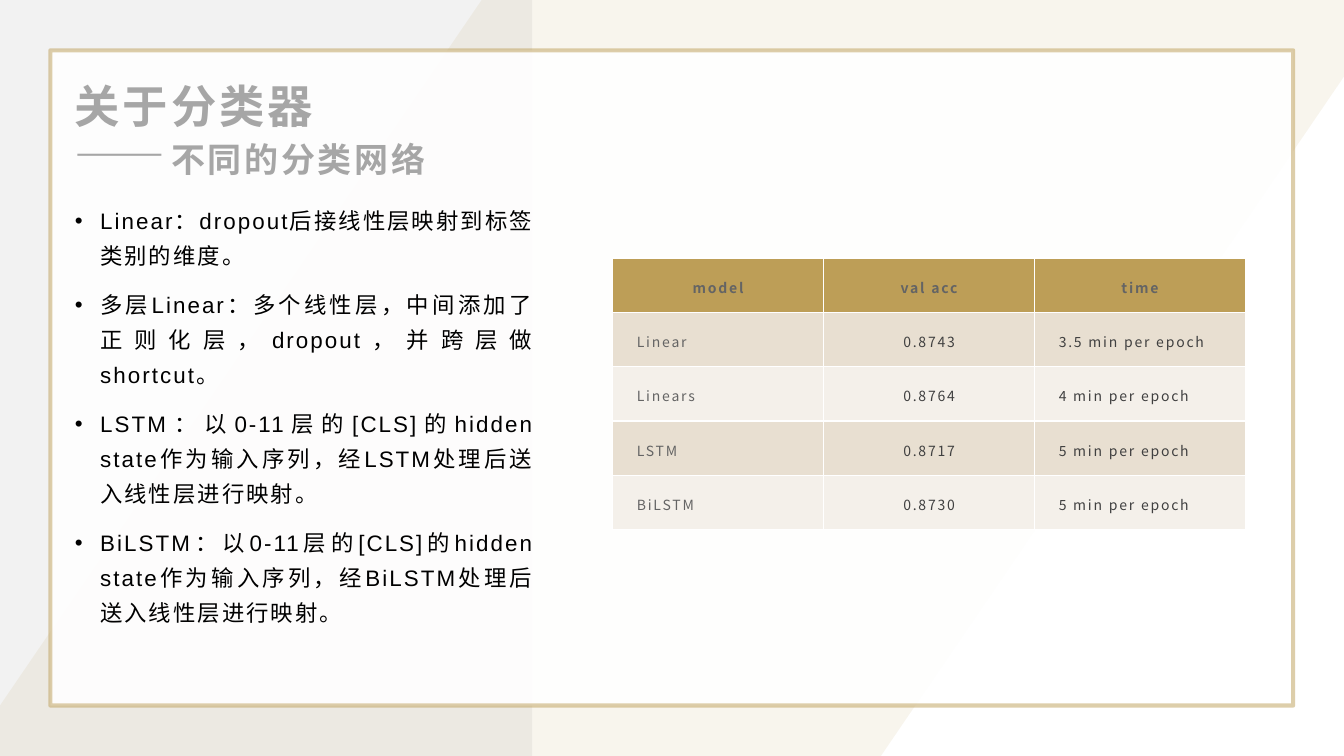
"""Build a slide that compares classifier networks in a list and a table."""
from dataclasses import dataclass
from typing import NamedTuple

from lxml.etree import SubElement
from pptx import Presentation
from pptx.dml.color import RGBColor
from pptx.dml.fill import FillFormat
from pptx.enum.shapes import MSO_SHAPE
from pptx.enum.text import MSO_ANCHOR, MSO_AUTO_SIZE, PP_ALIGN
from pptx.oxml.ns import qn
from pptx.shapes.autoshape import Shape
from pptx.slide import Slide
from pptx.text.text import Font
from pptx.util import Cm, Pt


@dataclass(frozen=True)
class Theme:
    gold: str = "BD9E57"
    panel: str = "F2F2F2"
    paper: str = "FFFFFF"
    heading: str = "A6A6A6"
    body: str = "000000"
    label: str = "646464"
    value: str = "404040"
    bands: tuple[str, str] = ("E8DFD1", "F4F0EA")
    text_font: str = "Arial"
    table_font: str = "Noto Sans CJK SC"
    title_size: float = 32.4
    subtitle_size: float = 24.3
    body_size: float = 16
    table_size: float = 10


class Box(NamedTuple):
    left: float
    top: float
    width: float
    height: float


class Result(NamedTuple):
    model: str
    accuracy: str
    time: str


THEME = Theme()
SLIDE = Box(0, 0, 33.87, 19.05)
SIDE_PANEL = Box(0, 0, 13.41, 19.05)
FRAME = Box(1.27, 1.27, 31.32, 16.51)
TITLE = Box(1.63, 2.13, 11, 2.44)
BODY = Box(1.63, 4.9, 12.09, 11.38)
TABLE = Box(15.44, 6.5, 15.95, 6.02)
DIAGONAL_BAND = [(12.14, 0), (33.87, 0), (33.87, 1.93), (22.2, 19.05), (0, 19.05), (0, 17.78)]

NETWORKS = [
    "Linear：dropout后接线性层映射到标签类别的维度。",
    "多层Linear：多个线性层，中间添加了正则化层，dropout，并跨层做shortcut。",
    "LSTM：以0-11层的[CLS]的hidden state作为输入序列，经LSTM处理后送入线性层进行映射。",
    "BiLSTM：以0-11层的[CLS]的hidden state作为输入序列，经BiLSTM处理后送入线性层进行映射。",
]
HEADER = Result("model", "val acc", "time")
RESULTS = [
    Result("Linear", "0.8743", "3.5 min per epoch"),
    Result("Linears", "0.8764", "4 min per epoch"),
    Result("LSTM", "0.8717", "5 min per epoch"),
    Result("BiLSTM", "0.8730", "5 min per epoch"),
]


def lengths(box: Box) -> list[Cm]:
    """Return the four lengths of a box."""
    return [Cm(length) for length in box]


def paint(fill: FillFormat, color: str, opacity: int = 100) -> None:
    """Fill with one colour at an opacity in percent."""
    fill.solid()
    fill.fore_color.rgb = RGBColor.from_string(color)
    if opacity < 100:
        rgb = fill._xPr.find(f"{qn('a:solidFill')}/{qn('a:srgbClr')}")
        SubElement(rgb, qn("a:alpha"), val=str(opacity * 1000))


def style(font: Font, name: str, size: float, color: str, spacing: float, bold: bool = False) -> None:
    """Set the typeface, size, colour, letter spacing and weight."""
    font.name, font.size, font.bold = name, Pt(size), bold
    font.color.rgb = RGBColor.from_string(color)
    font._rPr.set("spc", str(round(spacing * 100)))


def place(placeholder: Shape, box: Box, anchor: MSO_ANCHOR) -> None:
    """Move a placeholder to a box, in front of the backdrop."""
    placeholder.left, placeholder.top, placeholder.width, placeholder.height = lengths(box)
    frame = placeholder.text_frame
    frame.word_wrap, frame.auto_size, frame.vertical_anchor = True, MSO_AUTO_SIZE.NONE, anchor
    tree = placeholder.element.getparent()
    tree.append(placeholder.element)


def add_backdrop(slide: Slide) -> None:
    """Draw the side panel, the diagonal band and the framed sheet."""
    panel = slide.shapes.add_shape(MSO_SHAPE.RECTANGLE, *lengths(SIDE_PANEL))
    paint(panel.fill, THEME.panel)
    start, *corners = [(Cm(x), Cm(y)) for x, y in DIAGONAL_BAND]
    outline = slide.shapes.build_freeform(*start)
    outline.add_line_segments(corners, close=True)
    band = outline.convert_to_shape()
    paint(band.fill, THEME.gold, 10)
    sheet = slide.shapes.add_shape(MSO_SHAPE.RECTANGLE, *lengths(FRAME))
    paint(sheet.fill, THEME.paper, 90)
    for shape in (panel, band, sheet):
        shape.shadow.inherit = False
        shape.line.fill.background()
    sheet.line.width = Pt(3)
    paint(sheet.line.fill, THEME.gold, 50)


def add_title(slide: Slide) -> None:
    """Write the title and its subtitle."""
    title = slide.shapes.title
    place(title, TITLE, MSO_ANCHOR.MIDDLE)
    heading = title.text_frame.paragraphs[0]
    heading.alignment = PP_ALIGN.LEFT
    heading.line_spacing = 0.9
    style(heading.font, THEME.text_font, THEME.title_size, THEME.heading, 2, True)
    heading.add_run().text = "关于分类器"
    heading.add_line_break()
    heading.add_run().text = "——"
    subtitle = heading.add_run()
    subtitle.text = "不同的分类网络"
    subtitle.font.size = Pt(THEME.subtitle_size)


def add_networks(slide: Slide) -> None:
    """List the classifier networks."""
    body = slide.placeholders[1]
    place(body, BODY, MSO_ANCHOR.TOP)
    body.text_frame.text = "\n".join(NETWORKS)
    for network in body.text_frame.paragraphs:
        network.alignment = PP_ALIGN.JUSTIFY
        network.line_spacing, network.space_before, network.space_after = 1.3, Pt(0), Pt(10)
        style(network.font, THEME.text_font, THEME.body_size, THEME.body, 1.5)
        properties = network._p.get_or_add_pPr()
        properties.set("marL", str(Cm(0.64)))
        properties.set("indent", str(-Cm(0.64)))


def add_results(slide: Slide) -> None:
    """Tabulate accuracy and time for each model."""
    rows = [HEADER, *RESULTS]
    table = slide.shapes.add_table(len(rows), len(HEADER), *lengths(TABLE)).table
    for row, result in enumerate(rows):
        for column, text in enumerate(result):
            cell = table.cell(row, column)
            is_header = row == 0
            paint(cell.fill, THEME.gold if is_header else THEME.bands[(row - 1) % 2])
            cell.vertical_anchor = MSO_ANCHOR.MIDDLE
            cell.margin_left = cell.margin_right = Cm(0.61)
            cell.margin_top = cell.margin_bottom = Cm(0.38)
            cell.text = text
            entry = cell.text_frame.paragraphs[0]
            entry.alignment = PP_ALIGN.CENTER if is_header or column == 1 else PP_ALIGN.LEFT
            entry.line_spacing = 1.2
            color = THEME.label if is_header or column == 0 else THEME.value
            style(entry.font, THEME.table_font, THEME.table_size, color, 1.3, is_header)


def main() -> None:
    """Build and save the slide."""
    deck = Presentation()
    deck.slide_width, deck.slide_height = Cm(SLIDE.width), Cm(SLIDE.height)
    slide = deck.slides.add_slide(deck.slide_layouts[1])
    add_backdrop(slide)
    add_title(slide)
    add_networks(slide)
    add_results(slide)
    deck.save("out.pptx")


if __name__ == "__main__":
    main()
